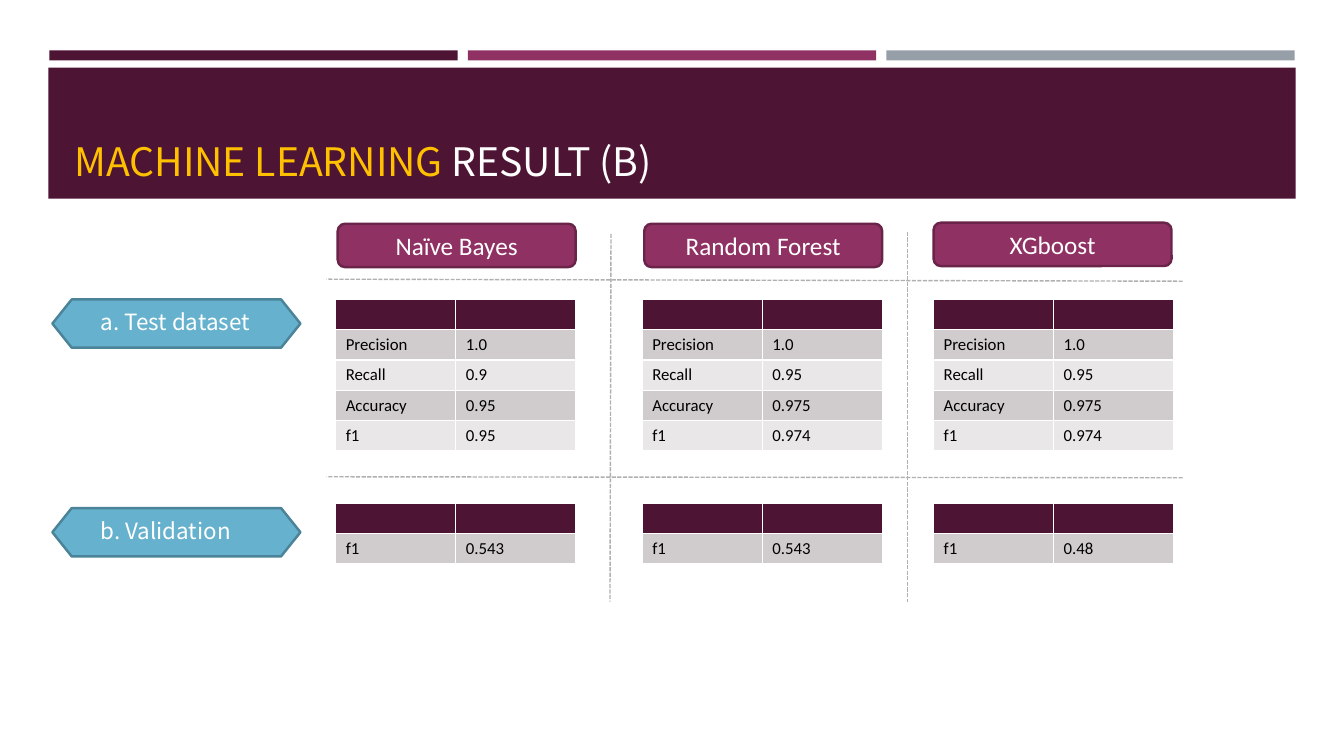
"""Builds the slide comparing three machine learning models on test and validation data."""
from lxml import etree
from pptx import Presentation
from pptx.dml.color import RGBColor
from pptx.enum.dml import MSO_LINE
from pptx.enum.shapes import MSO_CONNECTOR, MSO_SHAPE
from pptx.enum.text import MSO_ANCHOR, PP_ALIGN
from pptx.oxml.ns import qn
from pptx.util import Inches, Pt

RECT, ROUNDED, HEXAGON = MSO_SHAPE.RECTANGLE, MSO_SHAPE.ROUNDED_RECTANGLE, MSO_SHAPE.HEXAGON
MIDDLE, BOTTOM = MSO_ANCHOR.MIDDLE, MSO_ANCHOR.BOTTOM
CENTER = PP_ALIGN.CENTER
STRAIGHT = MSO_CONNECTOR.STRAIGHT
DASH = MSO_LINE.SQUARE_DOT
HEADING, BODY = "Noto Sans CJK TC", "Calibri"
COLORS = {
    "plum": "4D1434", "magenta": "903163", "magenta_edge": "6B2449", "gray": "969FA7",
    "blue": "66B1CE", "blue_edge": "4B8398", "gold": "FFC000", "title": "FFFEFF",
    "white": "FFFFFF", "black": "000000", "divider": "B0B0B0",
    "band_dark": "D0CCCE", "band_light": "E9E7E8",
}
C = {name: RGBColor.from_string(value) for name, value in COLORS.items()}


def add_box(kind, left, top, width, height, fill, edge=None):
    sp = s.shapes.add_shape(kind, Inches(left), Inches(top), Inches(width), Inches(height))
    sp.shadow.inherit = False
    sp.fill.solid()
    sp.fill.fore_color.rgb = C[fill]
    if edge:
        sp.line.color.rgb = C[edge]
        sp.line.width = Pt(1.75)
    else:
        sp.line.fill.background()
    return sp


def add_text(p, text, size, name, color):
    r = p.add_run()
    r.text = text
    for key, value in {"size": Pt(size), "name": name}.items():
        setattr(r.font, key, value)
    r.font.color.rgb = C[color]


prs = Presentation()
prs.slide_width, prs.slide_height = Inches(13.33), Inches(7.5)
s = prs.slides.add_slide(prs.slide_layouts[6])

for i, fill in enumerate(("plum", "magenta", "gray")):
    add_box(RECT, 0.49 + 4.15 * i, 0.5, 4.05, 0.1, fill)
add_box(RECT, 0.48, 0.67, 12.37, 1.3, "plum")

tf = s.shapes.add_textbox(Inches(0.64), Inches(0.77), Inches(12.06), Inches(1.11)).text_frame
tf.word_wrap = True
tf.vertical_anchor = BOTTOM
add_text(tf.paragraphs[0], "MACHINE LEARNING", 28, HEADING, "gold")
add_text(tf.paragraphs[0], " RESULT (B)", 28, HEADING, "title")

for label, top in (("a. Test dataset", 2.97), ("b. Validation", 5.04)):
    sp = add_box(HEXAGON, 0.52, top, 2.46, 0.48, "blue", "blue_edge")
    sp.adjustments[0] = 0.4
    tf = s.shapes.add_textbox(Inches(0.87), Inches(top + 0.05), Inches(2.64), Inches(0.38)).text_frame
    tf.word_wrap = True
    tf.vertical_anchor = MIDDLE
    for side in ("left", "top", "right", "bottom"):
        setattr(tf, f"margin_{side}", Inches(0.13))
    tf.paragraphs[0].line_spacing = 0.9
    add_text(tf.paragraphs[0], label, 16, HEADING, "white")

dividers = ((6.06, 2.32, 6.05, 5.97), (9, 2.3, 9, 5.97),
            (11.73, 2.79, 3.24, 2.77), (11.73, 4.74, 3.24, 4.73))
for ends in dividers:
    line = s.shapes.add_connector(STRAIGHT, *map(Inches, ends))
    line.line.color.rgb = C["divider"]
    line.line.width = Pt(1)
    line.line.dash_style = DASH
    etree.SubElement(line._element.spPr, qn("a:effectLst"))

metrics = ("Precision", "Recall", "Accuracy", "f1")
models = (
    ("Naïve Bayes", 3.35, 2.22, 3.33, ("1.0", "0.9", "0.95", "0.95"), "0.543"),
    ("Random Forest", 6.39, 2.22, 6.37, ("1.0", "0.95", "0.975", "0.974"), "0.543"),
    ("XGboost", 9.26, 2.21, 9.26, ("1.0", "0.95", "0.975", "0.974"), "0.48"),
)
for model, left, top, table_left, test_scores, validation_f1 in models:
    sp = add_box(ROUNDED, left, top, 2.36, 0.43, "magenta", "magenta_edge")
    tf = sp.text_frame
    tf.vertical_anchor = MIDDLE
    tf.paragraphs[0].alignment = CENTER
    add_text(tf.paragraphs[0], model, 18, BODY, "white")

    tables = ((2.97, list(zip(metrics, test_scores))), (4.99, [("f1", validation_f1)]))
    for table_top, scores in tables:
        rows = [("", "")] + scores
        table = s.shapes.add_table(len(rows), 2, Inches(table_left), Inches(table_top),
                                   Inches(2.38), Inches(0.3 * len(rows))).table
        for i, row in enumerate(rows):
            fill = "plum" if i == 0 else "band_dark" if i % 2 else "band_light"
            for j, text in enumerate(row):
                cell = table.cell(i, j)
                cell.fill.solid()
                cell.fill.fore_color.rgb = C[fill]
                p = cell.text_frame.paragraphs[0]
                if text:
                    add_text(p, text, 12, BODY, "black")
                else:
                    etree.SubElement(p._p, qn("a:endParaRPr"), sz="1200")

prs.save("out.pptx")
